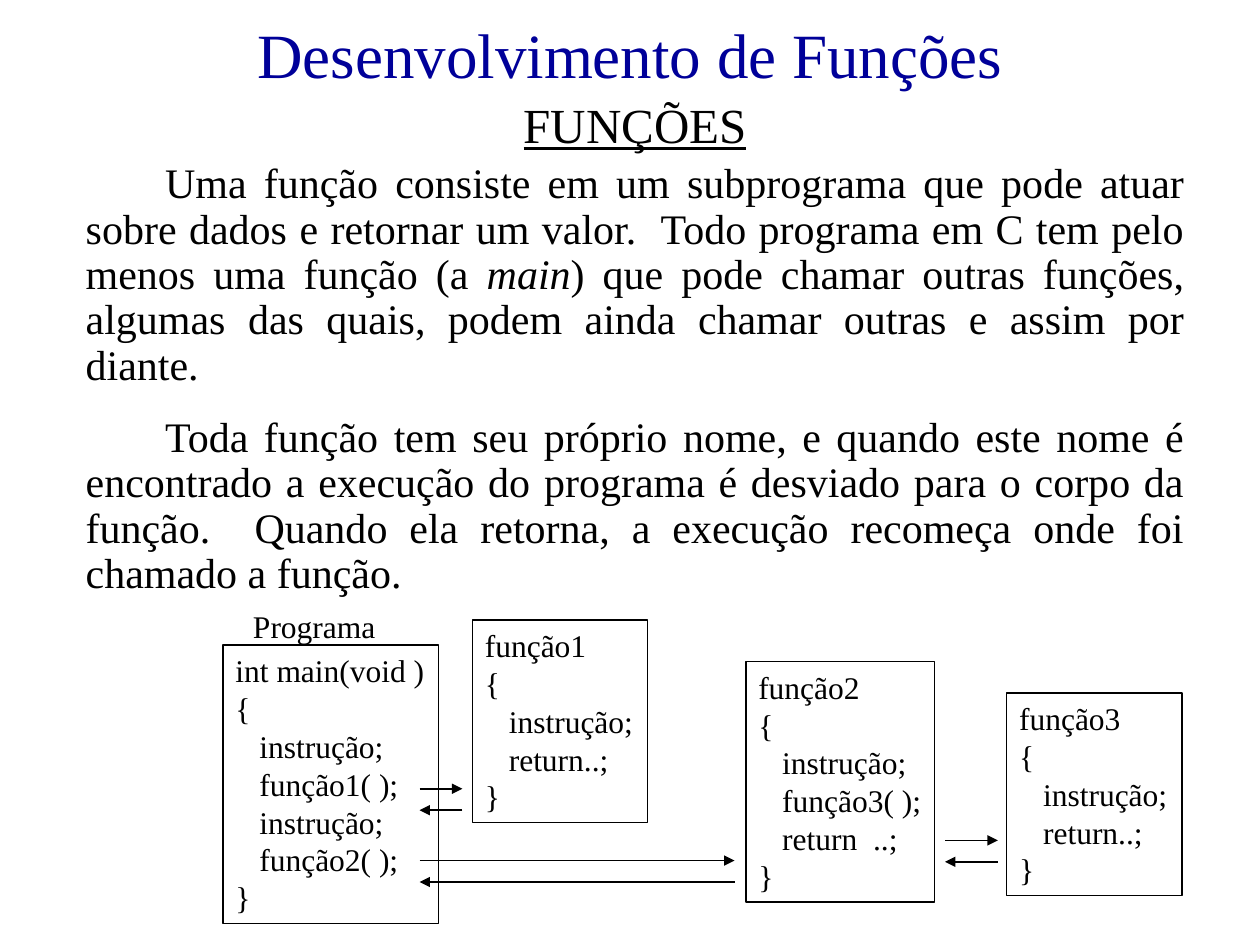
"""Builds a slide on functions, with body text and a diagram of calls."""
import pptx
import pptx.util
import pptx.dml.color
import pptx.enum.shapes
import pptx.enum.text
import pptx.oxml
import pptx.oxml.ns
import lxml.etree

Inches = pptx.util.Inches
Pt = pptx.util.Pt
ALIGN = pptx.enum.text.PP_ALIGN
FONT = "Times New Roman"
COLORS = {"title": "000099", "ink": "000000"}
INTRO = [
    ("Uma função consiste em um subprograma que pode atuar sobre dados e "
     "retornar um valor.  Todo programa em C tem pelo menos uma função (a ", False),
    ("main", True),
    (") que pode chamar outras funções, algumas das quais, podem ainda chamar "
     "outras e assim por diante.", False),
]
FLOW = [
    ("Toda função tem seu próprio nome, e quando este nome é encontrado a "
     "execução do programa é desviado para o corpo da função.  Quando ela "
     "retorna, a execução recomeça onde foi chamado a função.", False),
]
BOXES = [
    (0, 0.35, 1.71, 2.21, "int main(void )",
     ["instrução;", "função1( );", "instrução;", "função2( );"]),
    (1.98, 0.15, 1.39, 1.61, "função1", ["instrução;", "return..;"]),
    (4.15, 0.48, 1.5, 1.91, "função2", ["instrução;", "função3( );", "return  ..;"]),
    (6.22, 0.73, 1.39, 1.61, "função3", ["instrução;", "return..;"]),
]
CALLS = [(1.56, 1.9, 1.49), (1.56, 4.06, 2.06), (5.73, 6.15, 1.9)]
GAP = 0.17


def paint(name):
    """Return the named colour."""
    return pptx.dml.color.RGBColor.from_string(COLORS[name])


def style(run, size, color="ink"):
    """Format one run."""
    run.font.name = FONT
    run.font.size = Pt(size)
    run.font.color.rgb = paint(color)


def indent(para, left, first=0):
    """Set the left margin and first line of a paragraph."""
    props = para._p.get_or_add_pPr()
    props.set("marL", str(Inches(left)))
    props.set("indent", str(Inches(first)))
    return props


def place(shape, left, top, width, height):
    """Move and size a shape."""
    shape.left, shape.top = Inches(left), Inches(top)
    shape.width, shape.height = Inches(width), Inches(height)


def add_title(slide, left, top, width, height):
    """Fill the title in its box."""
    title = slide.shapes.title
    place(title, left, top, width, height)
    frame = title.text_frame
    frame.text = "Desenvolvimento de Funções"
    frame.auto_size = pptx.enum.text.MSO_AUTO_SIZE.NONE
    frame.vertical_anchor = pptx.enum.text.MSO_ANCHOR.MIDDLE
    frame.paragraphs[0].alignment = ALIGN.CENTER
    style(frame.paragraphs[0].runs[0], 36, "title")


def add_body(slide, left, top, width, height):
    """Fill the body with its heading and two paragraphs."""
    body = slide.placeholders[1]
    place(body, left, top, width, height)
    frame = body.text_frame
    frame.auto_size = pptx.enum.text.MSO_AUTO_SIZE.NONE
    frame.text = "FUNÇÕES"
    head = frame.paragraphs[0]
    head.alignment = ALIGN.CENTER
    style(head.runs[0], 28)
    head.runs[0].font.underline = True
    for parts in (INTRO, FLOW):
        para = frame.add_paragraph()
        para.alignment = ALIGN.JUSTIFY
        for text, slant in parts:
            run = para.add_run()
            run.text = text
            run.font.italic = slant
            style(run, 24)
    for para, space, first in zip(frame.paragraphs, (5.5, 5, 15.5), (0, 0.63, 0.63)):
        para.line_spacing = 0.9
        para.space_before = Pt(space)
        props = indent(para, 0, first)
        lxml.etree.SubElement(props, pptx.oxml.ns.qn("a:buNone"))


def add_code(slide, left, top, width, height, head, steps):
    """Draw a framed block of code."""
    box = slide.shapes.add_shape(
        pptx.enum.shapes.MSO_SHAPE.RECTANGLE,
        Inches(left), Inches(top), Inches(width), Inches(height))
    box.shadow.inherit = False
    box.fill.background()
    box.line.color.rgb = paint("ink")
    box.line.width = Pt(0.75)
    frame = box.text_frame
    frame.word_wrap = False
    frame.vertical_anchor = pptx.enum.text.MSO_ANCHOR.TOP
    frame.text = "\n".join([head, "{", *steps, "}"])
    for para in frame.paragraphs:
        para.alignment = ALIGN.LEFT
        style(para.runs[0], 18)
    for para in frame.paragraphs[2:-1]:
        indent(para, 0.19)


def add_arrow(slide, start, end, top):
    """Draw a level arrow from start to end."""
    line = slide.shapes.add_connector(
        pptx.enum.shapes.MSO_CONNECTOR.STRAIGHT,
        Inches(start), Inches(top), Inches(end), Inches(top))
    line.line.color.rgb = paint("ink")
    line.line.width = Pt(1)
    tip = lxml.etree.SubElement(line.line._get_or_add_ln(), pptx.oxml.ns.qn("a:tailEnd"))
    tip.set("type", "triangle")
    lxml.etree.SubElement(line._element.spPr, pptx.oxml.ns.qn("a:effectLst"))


def add_chart(slide, left, top):
    """Draw the blocks of code and the calls between them."""
    for x, y, width, height, head, steps in BOXES:
        add_code(slide, left + x, top + y, width, height, head, steps)
    for start, end, y in CALLS:
        add_arrow(slide, left + start, left + end, top + y)
        add_arrow(slide, left + end, left + start, top + y + GAP)
    label = slide.shapes.add_textbox(
        Inches(left + 0.14), Inches(top), Inches(1.17), Inches(0.4))
    label.text_frame.word_wrap = False
    label.text_frame.text = "Programa"
    style(label.text_frame.paragraphs[0].runs[0], 18)


def main():
    """Build and save the slide."""
    deck = pptx.Presentation()
    deck.slide_width, deck.slide_height = Inches(10), Inches(7.5)
    slide = deck.slides.add_slide(deck.slide_layouts[1])
    add_title(slide, 0.75, 0.17, 8.5, 0.5)
    add_body(slide, 0.58, 0.75, 8.92, 4.08)
    add_chart(slide, 1.77, 4.77)
    deck.save("out.pptx")


main()
